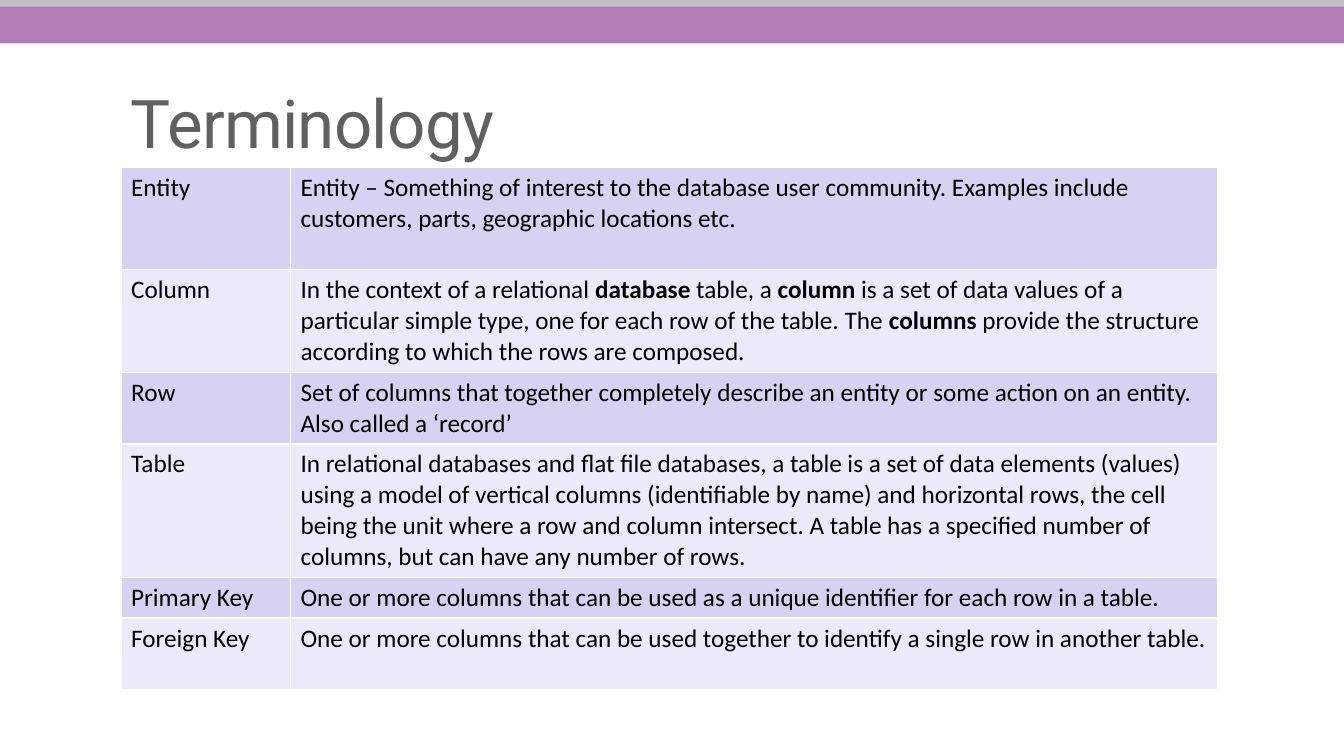
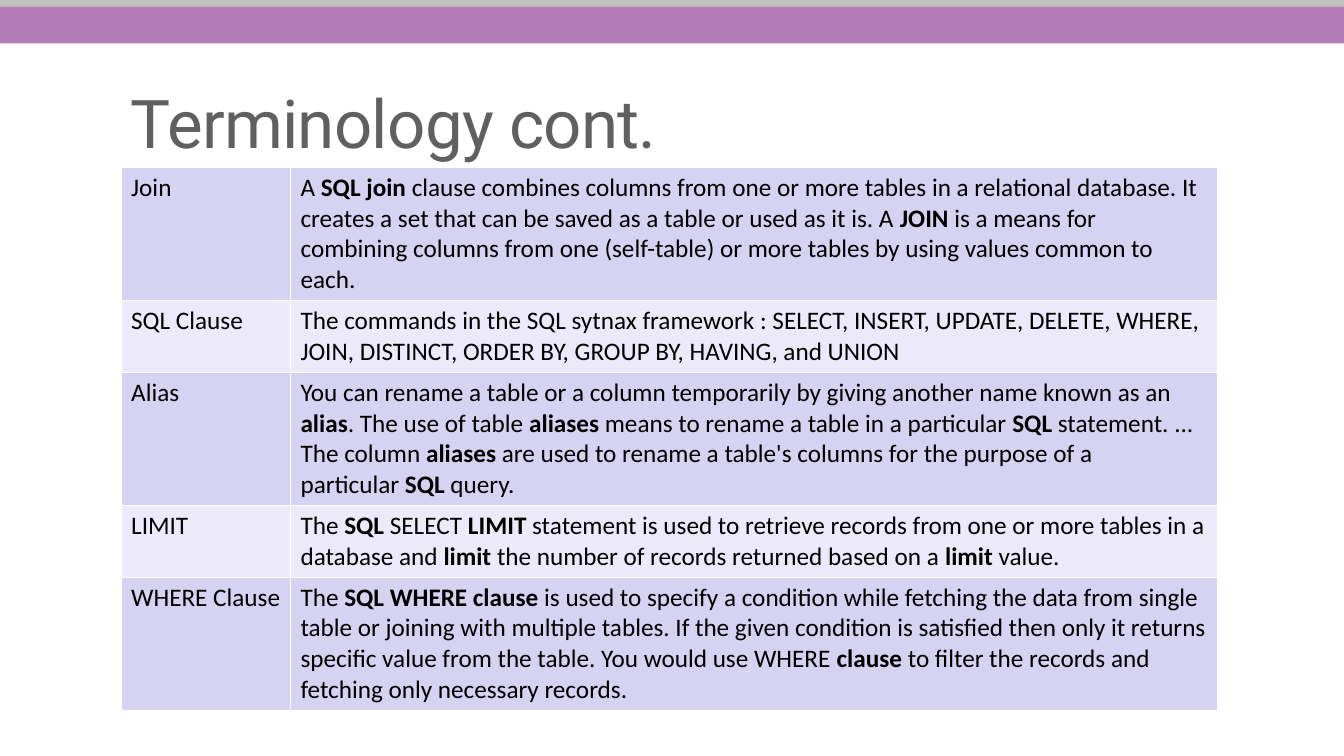
from lxml import etree
from pptx import Presentation
from pptx import util as u
from pptx.dml.color import RGBColor
from pptx.enum import shapes, text
from pptx.oxml.ns import qn

Pt = u.Pt

# Content: title, then rows of (term, lines of height, definition).
# **...** marks bold, ~ marks a non-breaking space.
SLIDES = [
    ("Terminology", [
        ("Entity", 3, "Entity – Something of interest to the database user community. "
         "Examples include customers, parts, geographic locations etc."),
        ("Column", 3, "In the context of a relational~**database**~table, a~**column**~is a set "
         "of data values of a particular simple type, one for each row of the table. "
         "The~**columns**~provide the structure according to which the rows are composed."),
        ("Row", 2, "Set of columns that together completely describe an entity or some action "
         "on an entity. Also called a ‘record’"),
        ("Table", 4, "In relational databases and flat file databases, a~table~is a set of data "
         "elements (values) using a model of vertical columns (identifiable by name) and "
         "horizontal rows, the cell being the unit where a row and column intersect. "
         "A~table~has a specified number of columns, but can have any number of rows."),
        ("Primary Key", 1, "One or more columns that can be used as a unique identifier for "
         "each row in a table."),
        ("Foreign Key", 2, "One or more columns that can be used together to identify a single "
         "row in another table."),
    ]),
    ("Terminology cont.", [
        ("Join", 4, "A~**SQL join**~clause combines columns from one or more tables in a "
         "relational database. It creates a set that can be saved as a table or used as it is. "
         "A~**JOIN**~is a means for combining columns from one (self-table) or more tables by "
         "using values common to each."),
        ("SQL Clause", 2, "The commands in the SQL sytnax framework : SELECT, INSERT, UPDATE, "
         "DELETE, WHERE, JOIN, DISTINCT, ORDER BY, GROUP BY, HAVING, and UNION"),
        ("Alias", 4, "You can rename a table or a column temporarily by giving another name "
         "known as an **alias**. The use of table~**aliases**~means to rename a table in a "
         "particular~**SQL **statement. ... The column~**aliases**~are used to rename a table's "
         "columns for the purpose of a particular~**SQL**~query."),
        ("LIMIT", 2, "The~**SQL**~SELECT~**LIMIT**~statement is used to retrieve records from "
         "one or more tables in a database and~**limit**~the number of records returned based "
         "on a~**limit**~value."),
        ("WHERE Clause", 4, "The~**SQL WHERE clause**~is used to specify a condition while "
         "fetching the data from single table or joining with multiple tables. If the given "
         "condition is satisfied then only it returns specific value from the table. You would "
         "use WHERE~**clause**~to filter the records and fetching only necessary records."),
    ]),
]

# Shared look
WIDTH, HEIGHT = 960, 540
BANDS = [(0, 4.5, "C0C0C0"), (4.5, 26.5, "B27EB5")]  # top, height, colour
ROW_FILLS = ["D6D2F1", "ECEAF8"]
TITLE_COLOR, TEXT_COLOR, BORDER_COLOR = "606060", "000000", "FFFFFF"
LEFT, TITLE_TOP, TABLE_TOP = 86.5, 56, 119.5
COLUMNS = [121, 662]
LINE, PADDING = 22, 7.2


def color(value):
    return RGBColor.from_string(value)


def add_span(para, words, font, size, ink, bold=False):
    span = para.add_run()
    span.text = words
    span.font.name, span.font.size, span.font.bold = font, Pt(size), bold
    span.font.color.rgb = color(ink)
    return span


def add_bands(page):
    for top, height, fill in BANDS:
        band = page.shapes.add_shape(shapes.MSO_SHAPE.RECTANGLE, 0, Pt(top), Pt(WIDTH), Pt(height))
        band.shadow.inherit = False
        band.fill.solid()
        band.fill.fore_color.rgb = color(fill)
        band.line.fill.background()


def add_title(page, title):
    box = page.shapes.add_textbox(Pt(LEFT), Pt(TITLE_TOP), Pt(792), Pt(TABLE_TOP - TITLE_TOP))
    frame = box.text_frame
    frame.word_wrap = True
    frame.vertical_anchor = text.MSO_ANCHOR.BOTTOM
    para = frame.paragraphs[0]
    para.line_spacing = 0.85
    span = add_span(para, title, "Roboto", 48, TITLE_COLOR)
    span.font._element.set("spc", "-50")


def add_borders(cell):
    props = cell._tc.get_or_add_tcPr()
    for side in ("lnL", "lnR", "lnT", "lnB"):
        line = etree.SubElement(props, qn("a:" + side), w=str(Pt(1)))
        fill = etree.SubElement(line, qn("a:solidFill"))
        etree.SubElement(fill, qn("a:srgbClr"), val=BORDER_COLOR)


def fill_cell(cell, words, fill):
    add_borders(cell)
    cell.fill.solid()
    cell.fill.fore_color.rgb = color(fill)
    para = cell.text_frame.paragraphs[0]
    for index, part in enumerate(words.replace("~", chr(160)).split("**")):
        add_span(para, part, "Calibri", 18, TEXT_COLOR, bold=index % 2 == 1)


def add_terms(page, rows):
    heights = [PADDING + LINE * lines for _, lines, _ in rows]
    table = page.shapes.add_table(len(rows), len(COLUMNS), Pt(LEFT), Pt(TABLE_TOP),
                                  Pt(sum(COLUMNS)), Pt(sum(heights))).table
    table.first_row = table.horz_banding = False
    for column, width in zip(table.columns, COLUMNS):
        column.width = Pt(width)
    for index, (term, _, definition) in enumerate(rows):
        table.rows[index].height = Pt(heights[index])
        for col, words in enumerate((term, definition)):
            fill_cell(table.cell(index, col), words, ROW_FILLS[index % 2])


def main():
    deck = Presentation()
    deck.slide_width, deck.slide_height = Pt(WIDTH), Pt(HEIGHT)
    for title, rows in SLIDES:
        page = deck.slides.add_slide(deck.slide_layouts[6])
        add_bands(page)
        add_title(page, title)
        add_terms(page, rows)
    deck.save("out.pptx")


if __name__ == "__main__":
    main()
